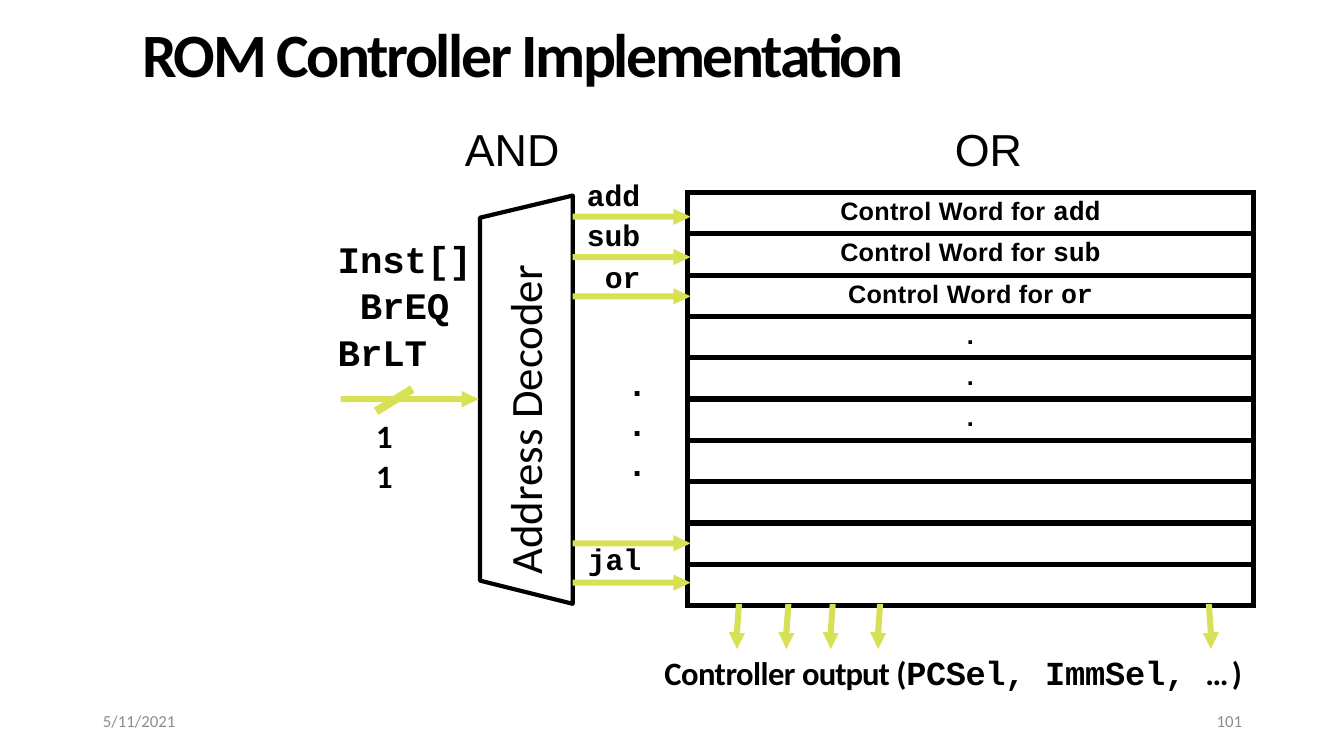
from lxml.etree import SubElement
from pptx import Presentation
from pptx.dml.color import RGBColor
from pptx.enum.shapes import MSO_CONNECTOR
from pptx.enum.text import MSO_ANCHOR, PP_ALIGN
from pptx.oxml.ns import qn
from pptx.util import Emu, Pt

PX = 9144  # 100 px to the inch
BLACK = RGBColor(0x00, 0x00, 0x00)
LIME = RGBColor(0xD8, 0xE1, 0x56)
GRAY = RGBColor(0x8C, 0x8C, 0x8C)
SANS, MONO, BODY = "Arial", "Courier New", "Calibri"


def px(n):
    return Emu(n * PX)


class Board:
    """Holds the style and the current slide."""

    def __init__(self, deck):
        self.slide = deck.slides.add_slide(deck.slide_layouts[5])
        self.shapes = self.slide.shapes

    def run(self, para, text, size, font, bold=True, track=0, color=BLACK):
        run = para.add_run()
        run.text = text
        run.font.size, run.font.name, run.font.bold = Pt(size), font, bold
        run.font.color.rgb = color
        if track:
            run._r.get_or_add_rPr().set("spc", str(round(track * 100)))

    def frame(self, shape, anchor=MSO_ANCHOR.TOP, top=0):
        frame = shape.text_frame
        frame.word_wrap = True
        frame.vertical_anchor = anchor
        frame.margin_left = frame.margin_right = frame.margin_bottom = 0
        frame.margin_top = px(top)
        return frame

    def title(self, box, text):
        shape = self.shapes.title
        shape.left, shape.top, shape.width, shape.height = map(px, box)
        para = self.frame(shape, MSO_ANCHOR.MIDDLE, 4).paragraphs[0]
        para.alignment = PP_ALIGN.LEFT
        self.run(para, text, 44, BODY, track=-1.7)

    def text(self, box, *lines, anchor=MSO_ANCHOR.TOP, align=PP_ALIGN.LEFT, gap=0):
        """Each line is a list of runs."""
        frame = self.frame(self.shapes.add_textbox(*map(px, box)), anchor)
        for i, runs in enumerate(lines):
            para = frame.add_paragraph() if i else frame.paragraphs[0]
            para.alignment = align
            if i and gap:
                para.space_before = Pt(gap)
            for run in runs:
                self.run(para, *run)
        return frame

    def table(self, box, rows):
        shape = self.shapes.add_table(len(rows), 1, *map(px, box))
        grid = shape.table
        grid.first_row = grid.horz_banding = False
        for row, runs in zip(grid.rows, rows):
            row.height = px(box[3] // len(rows))
            cell = row.cells[0]
            cell.margin_left = cell.margin_right = cell.margin_bottom = 0
            cell.margin_top = px(5)
            self.edge(cell)
            cell.fill.background()
            para = cell.text_frame.paragraphs[0]
            para.alignment = PP_ALIGN.CENTER
            for run in runs:
                self.run(para, *run)

    def edge(self, cell):
        props = cell._tc.get_or_add_tcPr()
        for side in ("a:lnL", "a:lnR", "a:lnT", "a:lnB"):
            line = SubElement(props, qn(side), w=str(Pt(4.25)))
            fill = SubElement(line, qn("a:solidFill"))
            SubElement(fill, qn("a:srgbClr"), val=str(BLACK))

    def shape(self, *loops, fill=None, line=None):
        pen = self.shapes.build_freeform(*loops[0][0], scale=PX)
        for i, loop in enumerate(loops):
            if i:
                pen.move_to(*loop[0])
            pen.add_line_segments(loop[1:], close=True)
        shape = pen.convert_to_shape()
        shape.shadow.inherit = False
        if fill is None:
            shape.fill.background()
        else:
            shape.fill.solid()
            shape.fill.fore_color.rgb = fill
        if line is None:
            shape.line.fill.background()
        else:
            shape.line.color.rgb, shape.line.width = line, Pt(3)

    def slash(self, start, end):
        line = self.shapes.add_connector(
            MSO_CONNECTOR.STRAIGHT, *map(px, start + end))
        line.line.color.rgb, line.line.width = LIME, Pt(6)
        SubElement(line._element.spPr, qn("a:effectLst"))


def across(x, tip, y):
    neck = tip - 17
    return [(tip, y), (neck, y - 8), (neck, y - 3), (x, y - 3),
            (x, y + 3), (neck, y + 3), (neck, y + 8)]


def down(tip, lean=1):
    steps = [(0, 644), (-8, 627), (-3, 627), (-1, 599),
             (5, 599), (3, 628), (8, 628)]
    return [(tip + lean * x, y) for x, y in steps]


def main():
    deck = Presentation()
    deck.slide_width, deck.slide_height = px(1333), px(750)
    board = Board(deck)
    board.title((141, 12, 769, 76), "ROM Controller Implementation")

    # Control word table
    words = [[("Control Word for ", 18, SANS, True, 0.2),
              (name, 19, MONO, True, -0.1)] for name in ("add", "sub", "or")]
    dots = [[(".", 18, SANS)]] * 3
    board.table((682, 191, 561, 410), words + dots + [[]] * 4)

    # Address decoder
    board.shape([(568, 599), (476, 576), (476, 216), (568, 194)], line=BLACK)
    label = board.text((497, 203, 50, 367),
                       [("Address Decoder", 32, BODY, False)])
    label.paragraphs[0].line_spacing = Pt(35.7)
    label._txBody.bodyPr.set("vert", "vert270")

    # Input and word lines
    lines = [across(568, 685, y) for y in (578, 539, 294, 255, 215)]
    board.shape(across(338, 475, 396), *lines, fill=LIME)
    board.slash((373, 408), (409, 386))

    # Output lines
    for tip in (731, 780, 824, 871):
        board.shape(down(tip), fill=LIME)
    board.shape(down(1201, -1), fill=LIME)

    # Input labels
    signs = board.text((335, 234, 140, 131),
                       *[[(name, 26.7, MONO, True, -0.1)]
                         for name in ("Inst[]", "BrEQ", "BrLT")], gap=1.2)
    signs.paragraphs[1]._p.get_or_add_pPr().set("marL", str(px(22)))
    board.text((373, 413, 24, 80), [("11", 23.3, BODY, True, -3.5)])

    # Word line labels
    board.text((582, 175, 57, 34), [("add", 21.3, MONO)])
    names = board.text((582, 215, 57, 72), [("sub", 21.3, MONO)],
                       [("or", 21.3, MONO)], gap=4.5)
    names.paragraphs[1]._p.get_or_add_pPr().set("marL", str(px(18)))
    board.text((583, 536, 57, 34), [("jal", 21.3, MONO)])
    more = board.text((622, 360, 24, 116), *[[(".", 24, MONO)]] * 3)
    for para in more.paragraphs[1:]:
        para.line_spacing = Pt(28.5)

    # Captions
    board.text((461, 121, 98, 52), [("AND", 32, SANS, False)])
    board.text((947, 121, 70, 52), [("OR", 32, SANS, False, -0.1)])
    board.text((659, 647, 600, 42), [
        ("Controller ", 23.3, BODY, True, -0.4),
        ("output ", 23.3, BODY, True, -0.7),
        ("(", 23.3, BODY, True, -0.3),
        ("PCSel, ", 24, MONO, True, -0.3),
        ("ImmSel, ", 24, MONO, True, -0.1),
        ("…)", 23.3, BODY, True, 2.5)])

    # Footer
    for left, text, align in ((102, "5/11/2021", PP_ALIGN.LEFT),
                              (952, "101", PP_ALIGN.RIGHT)):
        board.text((left, 695, 280, 40), [(text, 12, BODY, False, 0, GRAY)],
                   anchor=MSO_ANCHOR.MIDDLE, align=align)

    deck.save("out.pptx")


if __name__ == "__main__":
    main()
